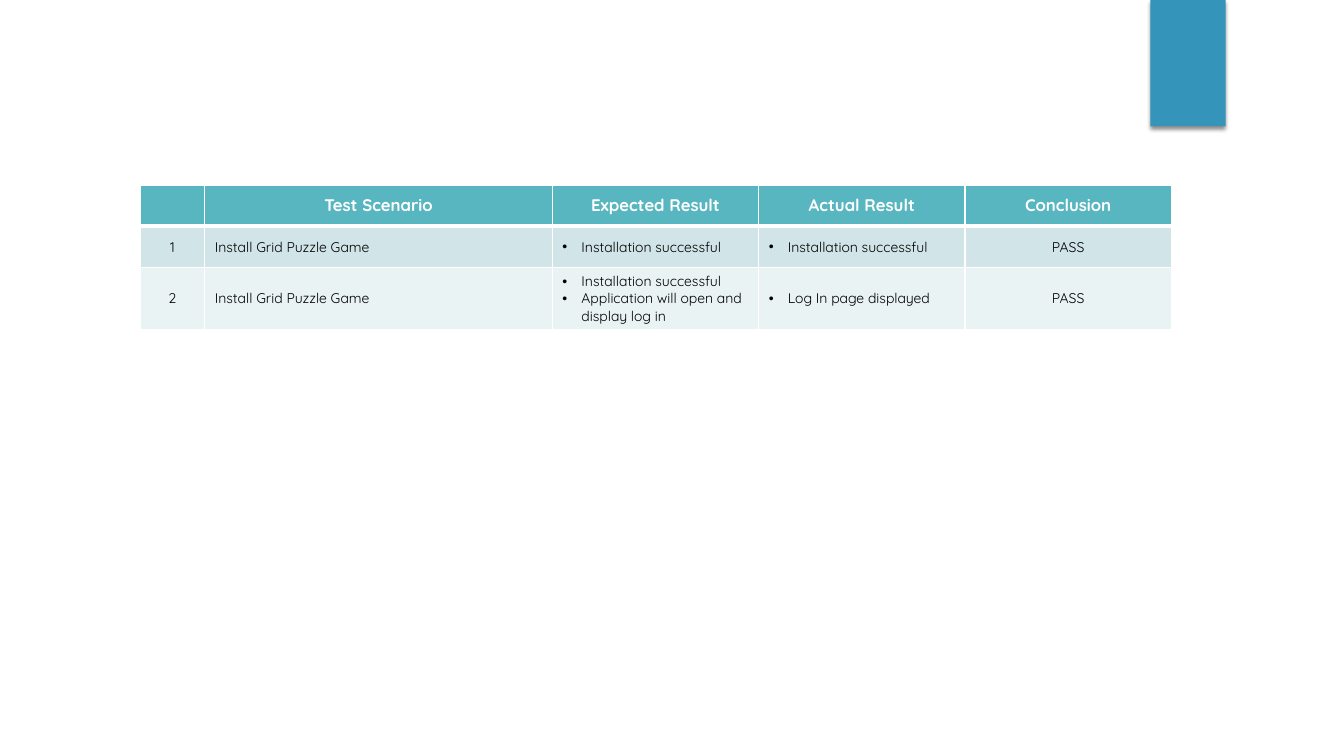
from lxml.etree import SubElement as Sub
from pptx import Presentation as Deck
from pptx.dml.color import RGBColor as Rgb
from pptx.enum.shapes import MSO_SHAPE as Kind
from pptx.enum.text import MSO_ANCHOR as Anchor, PP_ALIGN as Align
from pptx.oxml import parse_xml
from pptx.oxml.ns import nsdecls, qn
from pptx.util import Cm, Pt

HUES = {"blue": "3494BA", "head": "58B6C0", "odd": "D1E5E8", "even": "EAF3F4",
        "white": "FFFFFF", "black": "000000"}
FONT = "Quicksand"
WIDTHS = [1.63, 8.76, 5.2, 5.2, 5.2]
HEIGHT = 1.04
ROWS = [
    [[], ["Test Scenario"], ["Expected Result"], ["Actual Result"], ["Conclusion"]],
    [["1"], ["Install Grid Puzzle Game"], ["Installation successful"],
     ["Installation successful"], ["PASS"]],
    [["2"], ["Install Grid Puzzle Game"],
     ["Installation successful", "Application will open and display log in"],
     ["Log In page displayed"], ["PASS"]],
]


def write(para, text, size=10, hue="black", bold=False, align=Align.LEFT, dot=False):
    """Fill a paragraph with one formatted run."""
    para.alignment = align
    if dot:
        props = para._p.get_or_add_pPr()
        props.set("marL", str(Cm(0.48)))
        props.set("indent", str(-Cm(0.48)))
        Sub(props, qn("a:buFont"), typeface="Arial")
        Sub(props, qn("a:buChar"), char="•")
    run = para.add_run()
    run.text = text
    run.font.name = FONT
    run.font.size = Pt(size)
    run.font.bold = bold
    run.font.color.rgb = Rgb.from_string(HUES[hue])


def edge(cell, **sides):
    """Draw white cell borders with the given point widths."""
    props = cell._tc.get_or_add_tcPr()
    for spot, (side, width) in enumerate(sides.items()):
        props.insert(spot, parse_xml(
            f'<a:ln{side} {nsdecls("a")} w="{Pt(width)}"><a:solidFill>'
            f'<a:srgbClr val="{HUES["white"]}"/></a:solidFill></a:ln{side}>'))


def tab(slide, left, top, width, height):
    """Place the shaded blue tab in its box."""
    shape = slide.shapes.add_shape(Kind.RECTANGLE, Cm(left), Cm(top), Cm(width), Cm(height))
    shape.fill.solid()
    shape.fill.fore_color.rgb = Rgb.from_string(HUES["blue"])
    shape.line.fill.background()
    shape.shadow.inherit = False
    glow = shape._element.spPr.find(qn("a:effectLst"))
    shade = Sub(glow, qn("a:outerShdw"), blurRad=str(Pt(3)), dist=str(Pt(2)),
                dir="5400000", rotWithShape="0")
    tint = Sub(shade, qn("a:srgbClr"), val=HUES["black"])
    Sub(tint, qn("a:alpha"), val="45000")


def grid(slide, left, top):
    """Place the table of test results from its top left corner."""
    table = slide.shapes.add_table(len(ROWS), len(WIDTHS), Cm(left), Cm(top),
                                   Cm(sum(WIDTHS)), Cm(HEIGHT * len(ROWS))).table
    for col, width in zip(table.columns, WIDTHS):
        col.width = Cm(width)
    for r, row in enumerate(ROWS):
        table.rows[r].height = Cm(HEIGHT)
        for c, lines in enumerate(row):
            cell = table.cell(r, c)
            cell.vertical_anchor = Anchor.MIDDLE
            cell.fill.solid()
            cell.fill.fore_color.rgb = Rgb.from_string(HUES[("head", "odd", "even")[r]])
            edge(cell, L=1, R=1, T=3 if r == 1 else 1, B=3 if r == 0 else 1)
            if r == 0:
                style = dict(size=12, hue="white", bold=True, align=Align.CENTER)
            elif c in (0, 4):
                style = dict(align=Align.CENTER)
            else:
                style = dict(dot=c > 1)
            frame = cell.text_frame
            for n, line in enumerate(lines):
                write(frame.add_paragraph() if n else frame.paragraphs[0], line, **style)


def main():
    """Build and save the slide."""
    deck = Deck()
    deck.slide_width, deck.slide_height = Cm(33.87), Cm(19.05)
    slide = deck.slides.add_slide(deck.slide_layouts[6])
    tab(slide, 28.99, 0, 1.9, 3.18)
    grid(slide, 3.53, 4.66)
    deck.save("out.pptx")


if __name__ == "__main__":
    main()
